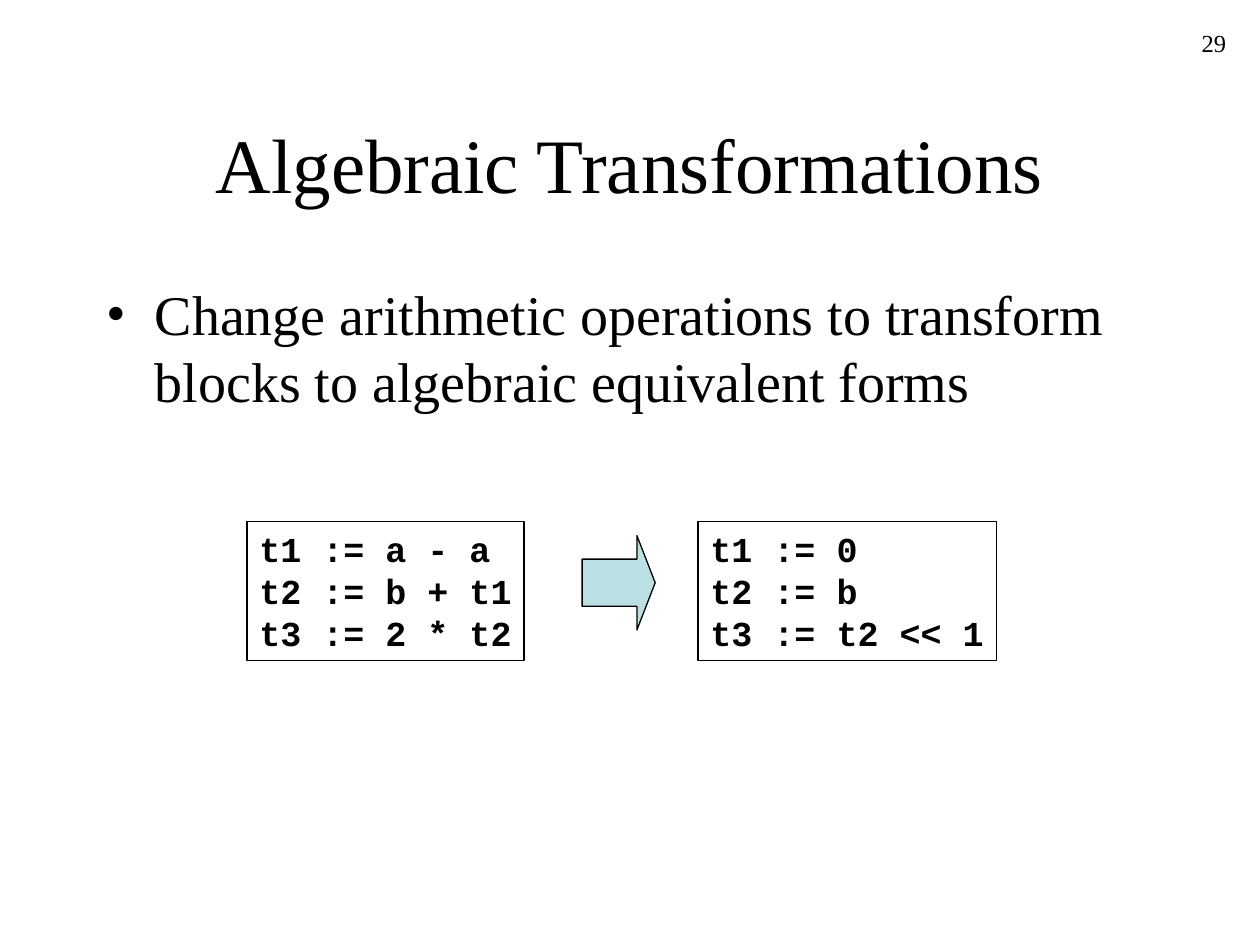
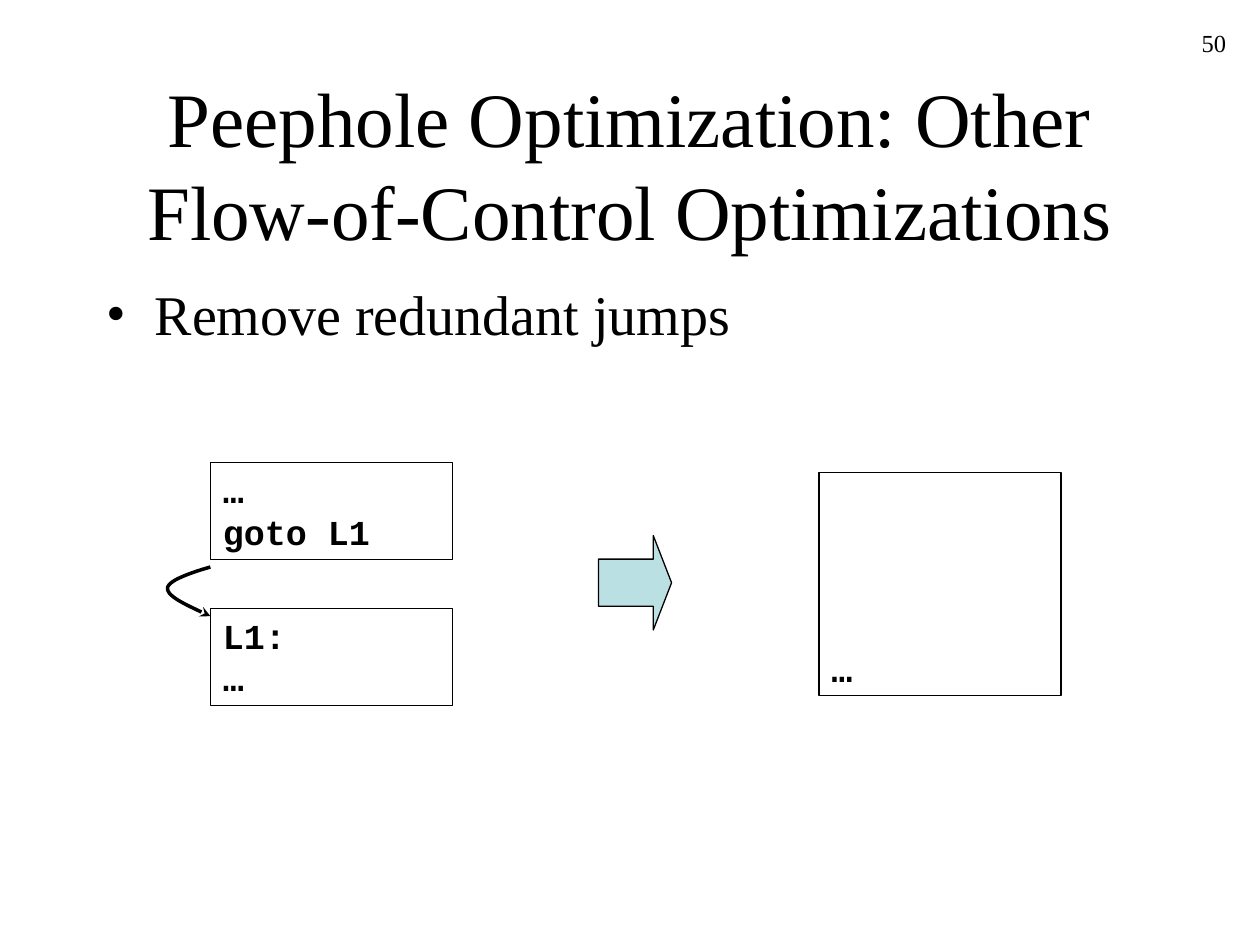
from lxml import etree
from pptx import Presentation
from pptx.dml.color import RGBColor
from pptx.enum import shapes, text
from pptx.oxml import ns
from pptx.util import Inches, Pt

# Shared look
INK, ARROW_FILL = "000000", "BBE0E3"
SERIF, MONO = "Times New Roman", "Courier New"
SLIDE_WIDTH, SLIDE_HEIGHT = 10, 7.5
MARGIN = 0.075 * SLIDE_WIDTH
CONTENT_WIDTH = SLIDE_WIDTH - 2 * MARGIN
TITLE_AREA = (MARGIN, 0.67, CONTENT_WIDTH, 1.25)
BODY_AREA = (MARGIN, 2.17, CONTENT_WIDTH, 0.6 * SLIDE_HEIGHT)
NUMBER_AREA = (7.75, 0.17, 2.08, 0.5)
ARROW_TOP, ARROW_WIDTH, ARROW_HEIGHT = 4.25, 0.58, 0.75
CODE_FONT = {"name": MONO, "size": Pt(20), "bold": True}
FRAME = {
    "margin_left": Inches(0.1), "margin_right": Inches(0.1),
    "margin_top": Inches(0.05), "margin_bottom": Inches(0.05),
    "auto_size": text.MSO_AUTO_SIZE.NONE, "word_wrap": True,
    "vertical_anchor": text.MSO_ANCHOR.TOP,
}


def color(hex_string):
    return RGBColor.from_string(hex_string)


def inches(values):
    return [Inches(value) for value in values]


def apply_format(target, values):
    for name, value in values.items():
        setattr(target, name, value)


def write(shape, content, font, align=text.PP_ALIGN.LEFT, **frame):
    """Fill a shape with one paragraph; newlines become line breaks."""
    apply_format(shape.text_frame, {**FRAME, **frame})
    paragraph = shape.text_frame.paragraphs[0]
    paragraph.text = content
    paragraph.alignment = align
    for run in paragraph.runs:
        apply_format(run.font, font)
        run.font.color.rgb = color(INK)
    return paragraph


def outline(shape, width=0.75, fill=None):
    shape.shadow.inherit = False
    shape.line.color.rgb = color(INK)
    shape.line.width = Pt(width)
    if fill:
        shape.fill.solid()
        shape.fill.fore_color.rgb = color(fill)
    else:
        shape.fill.background()


def add_text(slide, area, content, font, **options):
    return write(slide.shapes.add_textbox(*inches(area)), content, font, **options)


def add_bullet(slide, content):
    paragraph = add_text(slide, BODY_AREA, content, {"name": SERIF, "size": Pt(32)})
    paragraph.space_before = Pt(8)
    properties = paragraph._p.get_or_add_pPr()
    properties.set("marL", str(Inches(0.38)))
    properties.set("indent", str(-Inches(0.38)))
    etree.SubElement(properties, ns.qn("a:buFont"), typeface=SERIF)
    etree.SubElement(properties, ns.qn("a:buChar"), char="•")


def add_content_slide(presentation, title, bullet, number):
    slide = presentation.slides.add_slide(presentation.slide_layouts[5])
    heading = slide.shapes.title
    position = zip(("left", "top", "width", "height"), inches(TITLE_AREA))
    apply_format(heading, dict(position))
    write(heading, title, {"name": SERIF, "size": Pt(44)},
          align=text.PP_ALIGN.CENTER, vertical_anchor=text.MSO_ANCHOR.MIDDLE)
    add_bullet(slide, bullet)
    add_text(slide, NUMBER_AREA, str(number), {"name": SERIF, "size": Pt(14)},
             align=text.PP_ALIGN.RIGHT)
    return slide


def add_code_box(slide, area, code, **frame):
    box = slide.shapes.add_shape(shapes.MSO_SHAPE.RECTANGLE, *inches(area))
    outline(box)
    write(box, code, CODE_FONT, **frame)


def add_becomes_arrow(slide, left):
    area = (left, ARROW_TOP, ARROW_WIDTH, ARROW_HEIGHT)
    arrow = slide.shapes.add_shape(shapes.MSO_SHAPE.RIGHT_ARROW, *inches(area))
    arrow.adjustments[0], arrow.adjustments[1] = 0.5, 0.25
    outline(arrow, fill=ARROW_FILL)


def bezier(points, steps=16):
    """Points along a cubic curve, without its start."""
    weights = (1, 3, 3, 1)
    for step in range(1, steps + 1):
        t = step / steps
        yield tuple(
            sum(weight * (1 - t) ** (3 - i) * t ** i * point[axis]
                for i, (weight, point) in enumerate(zip(weights, points)))
            for axis in (0, 1))


def add_jump_arrow(slide, right, left, top, bottom):
    """Curved arrow that leaves to the left and returns lower down."""
    middle, control = 4.67, (left + right) / 2
    upper = [(right, top), (control, 4.55), (left, 4.61), (left, middle)]
    lower = [(left, middle), (left, 4.74), (control, 4.81), (right, bottom)]
    builder = slide.shapes.build_freeform(*inches(upper[0]))
    curve = [*bezier(upper), *bezier(lower)]
    builder.add_line_segments([inches(point) for point in curve], close=False)
    jump = builder.convert_to_shape()
    outline(jump, width=2)
    etree.SubElement(jump.line._get_or_add_ln(), ns.qn("a:tailEnd"), type="stealth")


def add_algebraic_slide(presentation):
    slide = add_content_slide(
        presentation, "Algebraic Transformations",
        "Change arithmetic operations to transform blocks to algebraic equivalent forms", 29)
    top, height = 4.14, 1.1
    add_code_box(slide, (1.96, top, 2.2, height),
                 "t1 := a - a\nt2 := b + t1\nt3 := 2 * t2", word_wrap=False)
    add_code_box(slide, (5.54, top, 2.37, height),
                 "t1 := 0\nt2 := b\nt3 := t2 << 1", word_wrap=False)
    add_becomes_arrow(slide, 4.62)


def add_jumps_slide(presentation):
    slide = add_content_slide(
        presentation, "Peephole Optimization: Other Flow-of-Control Optimizations",
        "Remove redundant jumps", 50)
    left, width, height = 1.67, 1.92, 0.77
    # Jump to the block that follows anyway
    for top, code in ((3.67, "…\ngoto L1"), (4.83, "L1:\n…")):
        add_code_box(slide, (left, top, width, height), code)
    add_jump_arrow(slide, right=left, left=1.33, top=4.5, bottom=4.89)
    add_becomes_arrow(slide, 4.75)
    # Merged block
    add_code_box(slide, (6.5, 3.75, width, 1.77), "…",
                 vertical_anchor=text.MSO_ANCHOR.BOTTOM)


def main():
    presentation = Presentation()
    presentation.slide_width = Inches(SLIDE_WIDTH)
    presentation.slide_height = Inches(SLIDE_HEIGHT)
    add_algebraic_slide(presentation)
    add_jumps_slide(presentation)
    presentation.save("out.pptx")


if __name__ == "__main__":
    main()
